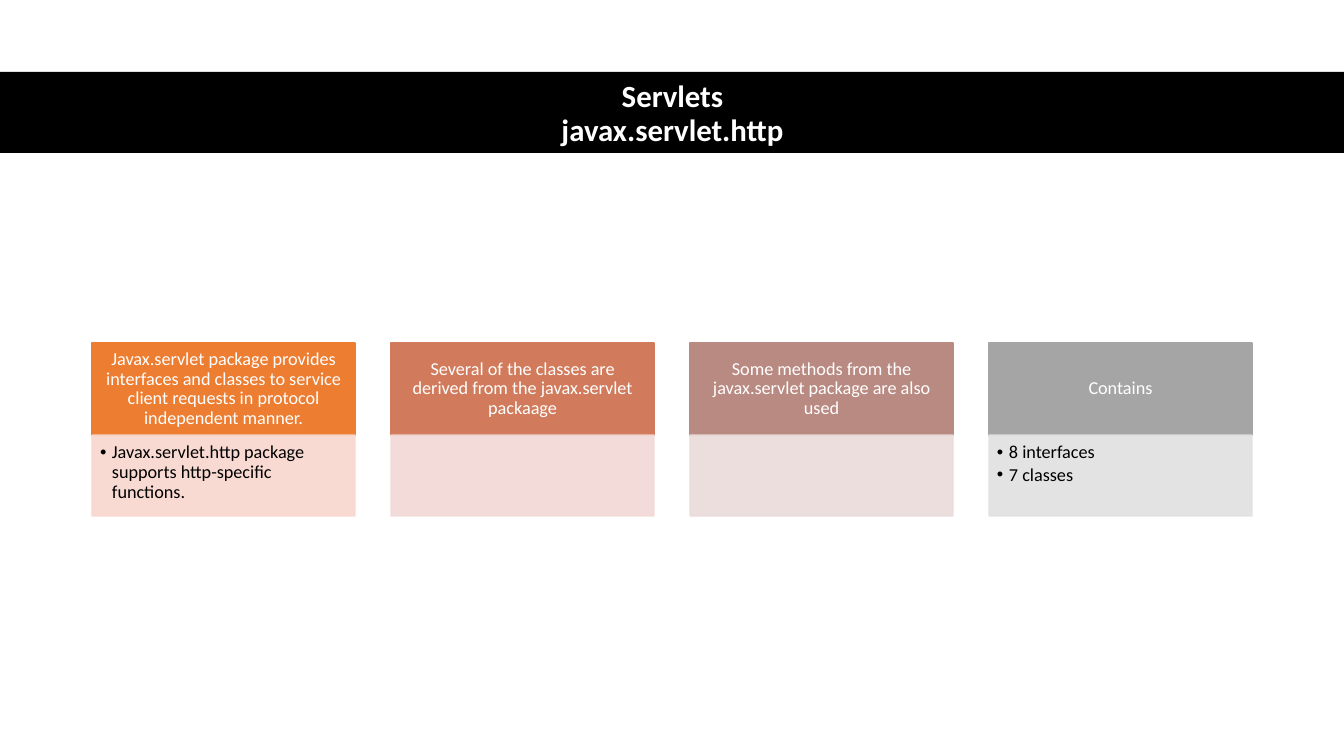
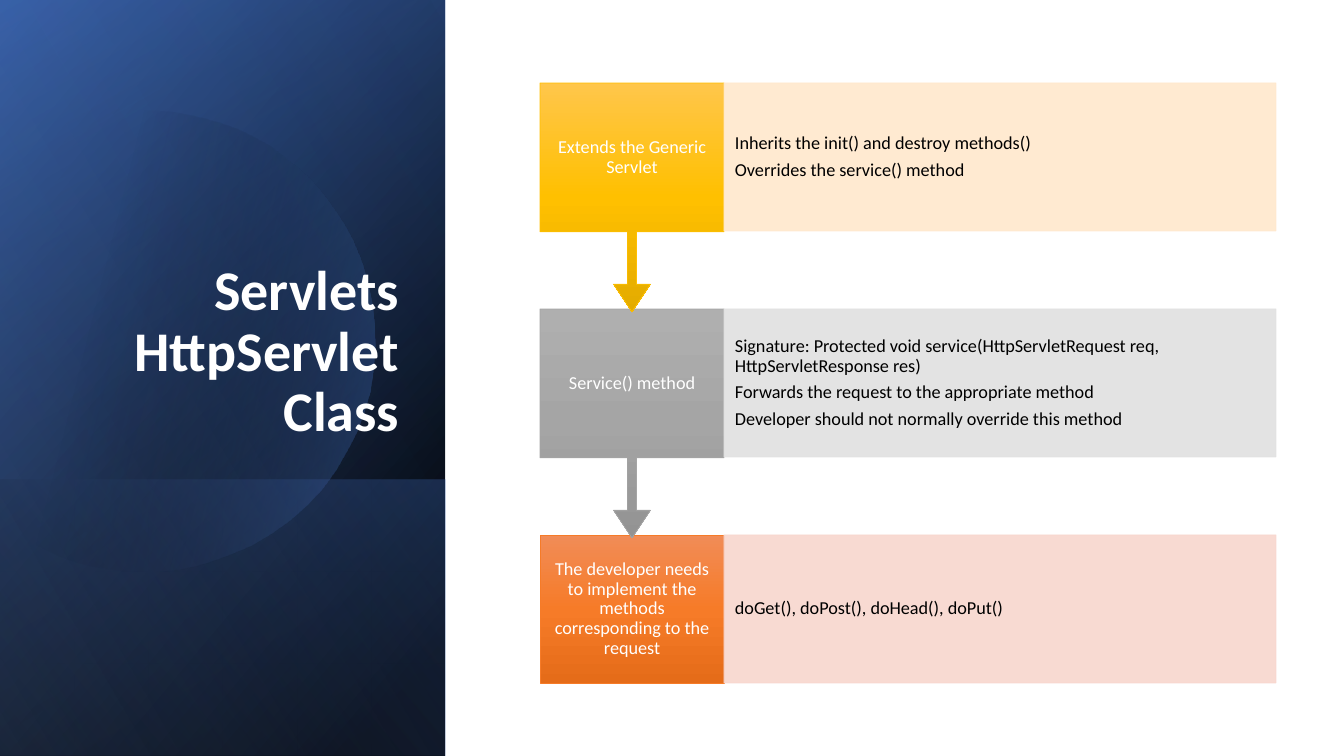
"""Build two slides on the servlet classes."""
from lxml.etree import SubElement
from pptx import Presentation
from pptx.dml.color import RGBColor
from pptx.enum.shapes import MSO_SHAPE
from pptx.enum.text import MSO_ANCHOR, MSO_AUTO_SIZE, PP_ALIGN
from pptx.oxml.ns import qn
from pptx.util import Emu, Pt

FONT = "Calibri"
WHITE, BLACK = "FFFFFF", "000000"
PAGE_WIDTH, PAGE_HEIGHT = 1344, 756
PANEL_WIDTH = 445
BULLET_INDENT = 12

PACKAGE_TITLE = "Servlets\njavax.servlet.http"
CARDS = [
    ("Javax.servlet package provides interfaces and classes to service client requests "
     "in protocol independent manner.", "ED7D31", "F8D7CE",
     ["Javax.servlet.http package supports http-specific functions."]),
    ("Several of the classes are derived from the javax.servlet packaage",
     "D17B5C", "F1D8D4", []),
    ("Some methods from the javax.servlet package are also used",
     "B98A82", "E9DBDA", []),
    ("Contains", "A5A5A5", "E1E1E1", ["8 interfaces", "7 classes"]),
]

CLASS_TITLE = "Servlets\nHttpServlet Class"
STEPS = [
    ("Extends the Generic Servlet", ("FFC64B", "FFC000", "E3AB00"), "FFE8CC",
     ["Inherits the init() and destroy methods()", "Overrides the service() method"]),
    ("Service() method", ("AFAFAF", "A5A5A5", "939393"), "E1E1E1",
     ["Signature: Protected void service(HttpServletRequest req, HttpServletResponse res)",
      "Forwards the request to the appropriate method",
      "Developer should not normally override this method"]),
    ("The developer needs to implement the methods corresponding to the request",
     ("F18C57", "F67B28", "E56C19"), "F8D7CE",
     ["doGet(), doPost(), doHead(), doPut()"]),
]

PANEL_LAYERS = [
    (0, 50, [(8, BLACK, 100), (100, "2F5597", 100)]),
    (0, 30, [(0, BLACK, 0), (99, "4472C4", 46)]),
    (480, 130, [(2, "4472C4", 29), (100, BLACK, 30)]),
]
PANEL_GLAZE = (0, 120, [(0, BLACK, 0), (99, "8FAADC", 11)])
DISC_STOPS = [(29, BLACK, 0), (100, "4472C4", 43)]
DISC_START = (150, 111)
DISC_CURVES = [
    [(248, 113), (338, 178), (366, 277)],
    [(401, 400), (331, 527), (209, 562)],
    [(132, 585), (53, 566), (0, 520)],
    [(0, 520), (0, 162), (0, 162)],
    [(23, 143), (50, 129), (81, 120)],
    [(104, 114), (127, 111), (150, 111)],
]


def px(length):
    return Emu(round(length * 914400 / 100.8))


def color(value):
    return RGBColor.from_string(value)


def add_box(page, kind, frame, fill, line_width=0, alpha=100):
    box = page.shapes.add_shape(kind, *map(px, frame))
    box.shadow.inherit = False
    box.fill.solid()
    box.fill.fore_color.rgb = color(fill)
    if line_width:
        box.line.color.rgb = color(fill)
        box.line.width = Pt(line_width)
    else:
        box.line.fill.background()
    if alpha < 100:
        for node in box._element.spPr.iter(qn("a:srgbClr")):
            SubElement(node, qn("a:alpha"), val=str(alpha * 1000))
    return box


def set_gradient(shape, stops, angle):
    shape.fill.solid()
    properties = shape._element.spPr
    solid = properties.find(qn("a:solidFill"))
    gradient = properties.makeelement(qn("a:gradFill"), {"rotWithShape": "1"})
    stop_list = SubElement(gradient, qn("a:gsLst"))
    for position, value, alpha in stops:
        stop = SubElement(stop_list, qn("a:gs"), pos=str(position * 1000))
        node = SubElement(stop, qn("a:srgbClr"), val=value)
        if alpha < 100:
            SubElement(node, qn("a:alpha"), val=str(alpha * 1000))
    SubElement(gradient, qn("a:lin"), ang=str(angle * 60000), scaled="0")
    properties.replace(solid, gradient)


def write(shape, paragraphs, size, ink, align, anchor, insets, space, bold=False, bullets=False):
    frame = shape.text_frame
    frame.word_wrap = True
    frame.auto_size = MSO_AUTO_SIZE.NONE
    frame.vertical_anchor = anchor
    (frame.margin_left, frame.margin_top,
     frame.margin_right, frame.margin_bottom) = map(px, insets)
    for index, text in enumerate(paragraphs):
        para = frame.add_paragraph() if index else frame.paragraphs[0]
        para.alignment = align
        para.line_spacing = 0.9
        para.space_before = Pt(0)
        para.space_after = Pt(space)
        if bullets:
            settings = para._p.get_or_add_pPr()
            settings.set("marL", str(px(BULLET_INDENT)))
            settings.set("indent", str(px(-BULLET_INDENT)))
            SubElement(settings, qn("a:buFont"), typeface="Arial")
            SubElement(settings, qn("a:buChar"), char="•")
        for number, line in enumerate(text.split("\n")):
            if number:
                para.add_line_break()
            span = para.add_run()
            span.text = line
            span.font.name = FONT
            span.font.size = Pt(size)
            span.font.bold = bold
            span.font.color.rgb = color(ink)


def add_title(page, text, frame, size, align, anchor):
    title = page.shapes.title
    title.left, title.top, title.width, title.height = map(px, frame)
    write(title, [text], size, WHITE, align, anchor, (10, 5, 10, 5), 6, bold=True)
    page.shapes._spTree.append(title._element)


def add_panel_layer(page, top, angle, stops):
    height = PAGE_HEIGHT - top
    shift = (height - PANEL_WIDTH) / 2
    layer = add_box(page, MSO_SHAPE.RECTANGLE,
                    (-shift, top + shift, height, PANEL_WIDTH), BLACK)
    layer.rotation = 90
    layer._element.spPr.find(qn("a:xfrm")).set("flipH", "1")
    set_gradient(layer, stops, angle)


def trace_curves(start, curves, steps=16):
    points = []
    for first, second, end in curves:
        for step in range(1, steps + 1):
            t = step / steps
            u = 1 - t
            points.append(tuple(
                u ** 3 * a + 3 * u * u * t * b + 3 * u * t * t * c + t ** 3 * d
                for a, b, c, d in zip(start, first, second, end)))
        start = end
    return points


def add_disc(page):
    builder = page.shapes.build_freeform(*DISC_START, scale=px(1))
    builder.add_line_segments(trace_curves(DISC_START, DISC_CURVES))
    disc = builder.convert_to_shape()
    disc.shadow.inherit = False
    disc.line.fill.background()
    set_gradient(disc, DISC_STOPS, 14)


def build_package_page(page):
    left, top, width, pitch = 92, 343, 263, 299
    head_height, detail_height = 92, 81
    add_box(page, MSO_SHAPE.RECTANGLE, (0, 72, PAGE_WIDTH, 81), BLACK)
    add_title(page, PACKAGE_TITLE, (93, 75, 1159, 79), 22, PP_ALIGN.CENTER, MSO_ANCHOR.MIDDLE)
    for index, (heading, fill, tint, details) in enumerate(CARDS):
        x = left + index * pitch
        head = add_box(page, MSO_SHAPE.RECTANGLE, (x, top, width, head_height), fill, 1)
        write(head, [heading], 13, WHITE, PP_ALIGN.CENTER, MSO_ANCHOR.MIDDLE, (10, 6, 10, 6), 5)
        detail = add_box(page, MSO_SHAPE.RECTANGLE,
                         (x, top + head_height, width, detail_height), tint, 1, 90)
        if details:
            write(detail, details, 13, BLACK, PP_ALIGN.LEFT, MSO_ANCHOR.TOP,
                  (8, 8, 10, 11), 2, bullets=True)


def build_class_page(page):
    left, top, head_width, detail_width = 540, 83, 184, 552
    height, callout_height, pitch = 148, 229, 226
    for layer in PANEL_LAYERS:
        add_panel_layer(page, *layer)
    add_disc(page)
    add_panel_layer(page, *PANEL_GLAZE)
    add_title(page, CLASS_TITLE, (65, 185, 344, 264), 40, PP_ALIGN.RIGHT, MSO_ANCHOR.BOTTOM)
    for index, (heading, shades, tint, details) in reversed(list(enumerate(STEPS))):
        y = top + index * pitch
        is_last = index == len(STEPS) - 1
        kind = MSO_SHAPE.RECTANGLE if is_last else MSO_SHAPE.DOWN_ARROW_CALLOUT
        head_height = height if is_last else callout_height
        head = add_box(page, kind, (left, y, head_width, head_height), shades[1], 0.5)
        if not is_last:
            for number, ratio in enumerate((0.05, 0.1, 0.15, 0.65)):
                head.adjustments[number] = ratio
        set_gradient(head, [(spot, shade, 100) for spot, shade in zip((0, 50, 100), shades)], 90)
        write(head, [heading], 13, WHITE, PP_ALIGN.CENTER, MSO_ANCHOR.MIDDLE, (13, 10, 13, 10), 5)
        detail = add_box(page, MSO_SHAPE.RECTANGLE,
                         (left + head_width, y, detail_width, height), tint, 0.5, 90)
        write(detail, details, 13, BLACK, PP_ALIGN.LEFT, MSO_ANCHOR.MIDDLE, (11, 18, 11, 18), 5)


def main():
    deck = Presentation()
    deck.slide_width, deck.slide_height = px(PAGE_WIDTH), px(PAGE_HEIGHT)
    for build in (build_package_page, build_class_page):
        build(deck.slides.add_slide(deck.slide_layouts[5]))
    deck.save("out.pptx")


if __name__ == "__main__":
    main()
